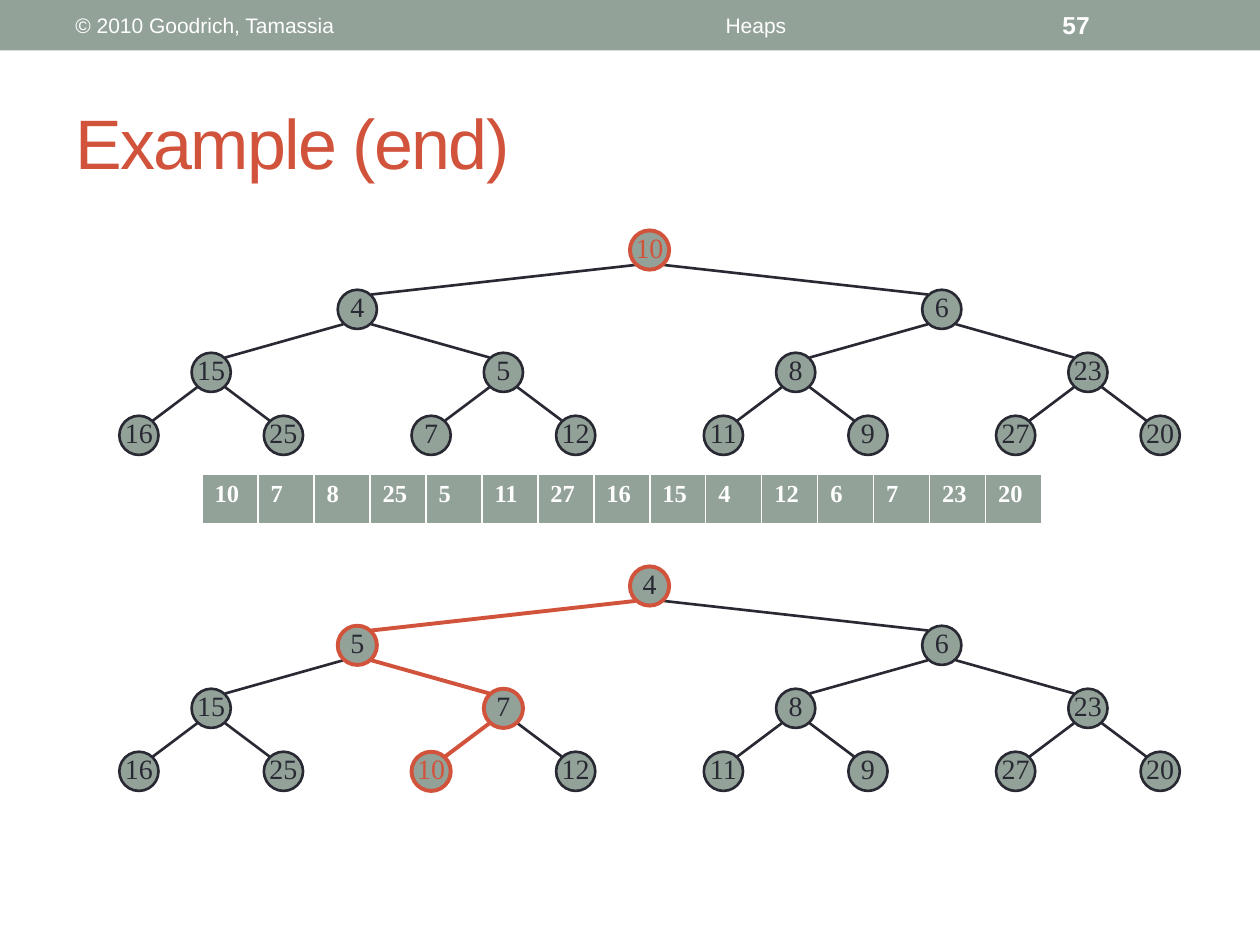
from lxml import etree
from pptx import Presentation
from pptx.dml.color import RGBColor
from pptx.enum.shapes import MSO_CONNECTOR, MSO_SHAPE
from pptx.enum.text import MSO_ANCHOR, PP_ALIGN
from pptx.oxml.ns import qn
from pptx.util import Pt

LEFT, CENTER = PP_ALIGN.LEFT, PP_ALIGN.CENTER
MIDDLE = MSO_ANCHOR.MIDDLE
RECTANGLE, OVAL = MSO_SHAPE.RECTANGLE, MSO_SHAPE.OVAL
STRAIGHT = MSO_CONNECTOR.STRAIGHT

COLORS = {"sage": "93A299", "ink": "292934", "red": "D2533C", "white": "FFFFFF"}
SANS, SERIF = "Arial", "Times New Roman"

# Tree geometry: nodes are numbered level by level, root first
ROOT_X = 371.2
LEVEL_DROPS = [0, 33.9, 69.9, 105.9]
CHILD_OFFSETS = [167, 83.5, 41.3]
NODE_SIZE = 22.4
EDGE_DX, EDGE_DY = 8, 8.5


def rgb(name):
    return RGBColor.from_string(COLORS[name])


def node_centers(root_y):
    centers = [(ROOT_X, root_y)]
    level = [ROOT_X]
    for offset, drop in zip(CHILD_OFFSETS, LEVEL_DROPS[1:]):
        level = [x + side * offset for x in level for side in (-1, 1)]
        centers += [(x, root_y + drop) for x in level]
    return centers


class SlideBuilder:
    def __init__(self, page):
        self.page = page

    def add_span(self, para, text, size, color, font, bold=False, spacing=None):
        span = para.add_run()
        span.text = text
        span.font.size = Pt(size)
        span.font.name = font
        span.font.bold = bold
        span.font.color.rgb = rgb(color)
        if spacing is not None:
            span.font._element.set("spc", str(spacing * 100))

    def text(self, left, top, width, height, text, size, color,
             align=LEFT, **style):
        box = self.page.shapes.add_textbox(Pt(left), Pt(top), Pt(width), Pt(height))
        frame = box.text_frame
        frame.word_wrap = True
        frame.vertical_anchor = MIDDLE
        para = frame.paragraphs[0]
        para.alignment = align
        self.add_span(para, text, size, color, SANS, **style)

    def shape(self, kind, left, top, width, height):
        shape = self.page.shapes.add_shape(kind, Pt(left), Pt(top), Pt(width), Pt(height))
        shape.shadow.inherit = False
        shape.fill.solid()
        shape.fill.fore_color.rgb = rgb("sage")
        return shape

    def bar(self, left, top, width, height):
        self.shape(RECTANGLE, left, top, width, height).line.fill.background()

    def outline(self, line, marked):
        line.color.rgb = rgb("red" if marked else "ink")
        line.width = Pt(2.25 if marked else 1.5)

    def node(self, x, y, key, marked, color):
        half = NODE_SIZE / 2
        circle = self.shape(OVAL, x - half, y - half, NODE_SIZE, NODE_SIZE)
        self.outline(circle.line, marked)
        frame = circle.text_frame
        frame.word_wrap = False
        frame.vertical_anchor = MIDDLE
        frame.margin_left = frame.margin_right = frame.margin_top = 0
        frame.margin_bottom = Pt(3.6)
        para = frame.paragraphs[0]
        para.alignment = CENTER
        self.add_span(para, str(key), 16, color, SERIF)

    def edge(self, parent, child, marked):
        side = 1 if child[0] > parent[0] else -1
        line = self.page.shapes.add_connector(
            STRAIGHT,
            Pt(parent[0] + side * EDGE_DX), Pt(parent[1] + EDGE_DY),
            Pt(child[0] - side * EDGE_DX), Pt(child[1] - EDGE_DY))
        self.outline(line.line, marked)
        etree.SubElement(line._element.spPr, qn("a:effectLst"))

    def tree(self, root_y, keys, path_nodes, red_key):
        centers = node_centers(root_y)
        for index in range(1, len(keys)):
            self.edge(centers[(index - 1) // 2], centers[index], index in path_nodes)
        for index, (key, (x, y)) in enumerate(zip(keys, centers)):
            color = "red" if key == red_key else "ink"
            self.node(x, y, key, index in path_nodes, color)

    def border(self, cell, side, width):
        line = etree.SubElement(cell._tc.get_or_add_tcPr(), qn(f"a:ln{side}"),
                                w=str(Pt(width)))
        fill = etree.SubElement(line, qn("a:solidFill"))
        etree.SubElement(fill, qn("a:srgbClr"), val=COLORS["white"])

    def array(self, left, top, column_width, height, keys):
        frame = self.page.shapes.add_table(
            1, len(keys), Pt(left), Pt(top), Pt(column_width * len(keys)), Pt(height))
        table = frame.table
        table.horz_banding = False
        for column, key in enumerate(keys):
            table.columns[column].width = Pt(column_width)
            cell = table.cell(0, column)
            for side, width in (("L", 1), ("R", 1), ("T", 1), ("B", 3)):
                self.border(cell, side, width)
            cell.fill.solid()
            cell.fill.fore_color.rgb = rgb("sage")
            self.add_span(cell.text_frame.paragraphs[0], str(key), 14, "white", SERIF,
                          bold=True)


def main():
    deck = Presentation()
    deck.slide_width, deck.slide_height = Pt(720), Pt(540)
    slide = SlideBuilder(deck.slides.add_slide(deck.slide_layouts[6]))

    # Header band
    slide.bar(0, 0, 720, 28.8)
    slide.text(36, 1.44, 228, 25.9, "© 2010 Goodrich, Tamassia", 12, "white")
    slide.text(270, 1.44, 324, 25.9, "Heaps", 12, "white", align=CENTER)
    slide.text(600, 1.44, 84, 25.9, "57", 14, "white", bold=True)

    # Title
    slide.text(36, 42, 648, 78, "Example (end)", 40, "red", spacing=-1)

    # Heap before and after the root key sinks down
    slide.tree(142.9, [10, 4, 6, 15, 5, 8, 23, 16, 25, 7, 12, 11, 9, 27, 20], {0}, 10)
    slide.tree(334.9, [4, 5, 6, 15, 7, 8, 23, 16, 25, 10, 12, 11, 9, 27, 20],
               {0, 1, 4, 9}, 10)

    # Input array
    slide.array(115.5, 270.8, 32, 29.2,
                [10, 7, 8, 25, 5, 11, 27, 16, 15, 4, 12, 6, 7, 23, 20])

    deck.save("out.pptx")


if __name__ == "__main__":
    main()
